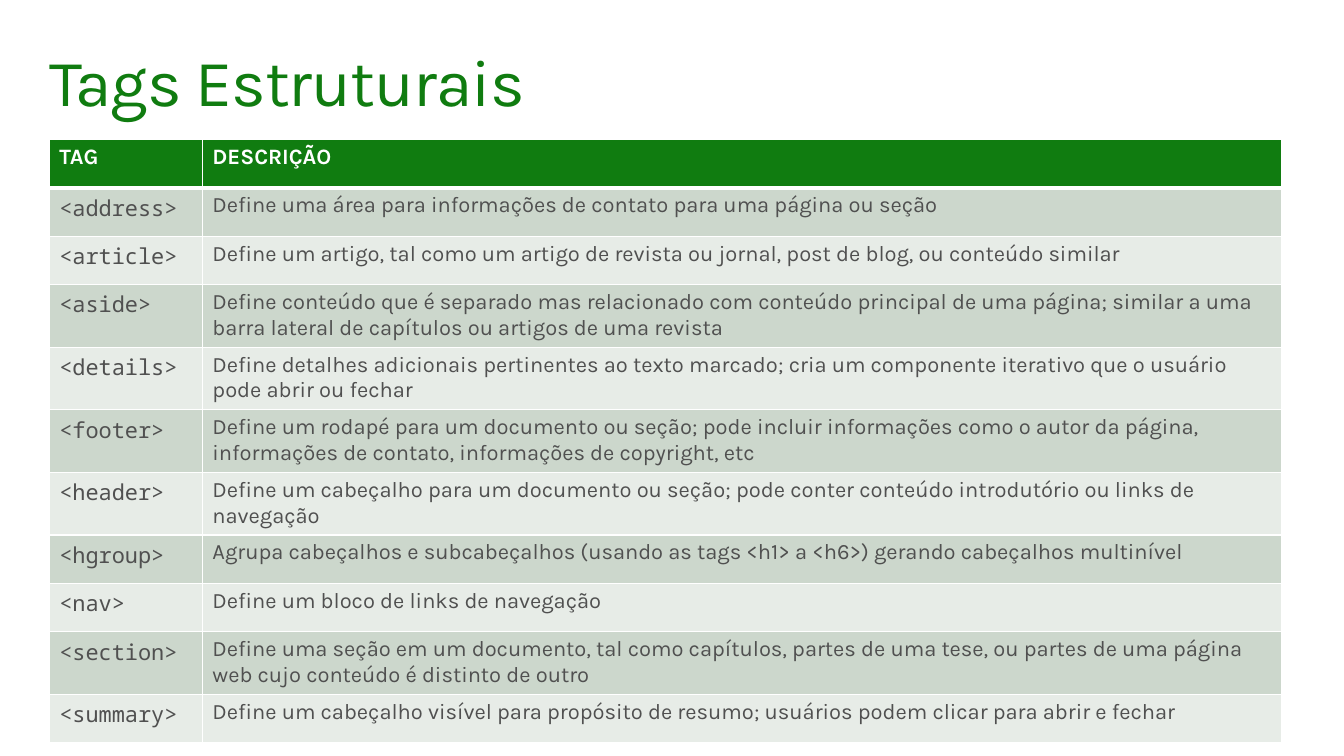
from dataclasses import dataclass

from lxml.etree import SubElement
from pptx import Presentation
from pptx.dml.color import RGBColor
from pptx.enum.text import MSO_ANCHOR
from pptx.oxml.ns import qn
from pptx.util import Pt

SCALE = 9144  # EMU per px, 100 px to the inch


@dataclass(frozen=True)
class Theme:
    green: str = "107C10"
    white: str = "FFFFFF"
    grey: str = "505050"
    bands: tuple = ("CCD7CC", "E7ECE7")
    font: str = "Karla"
    mono: str = "Noto Sans Mono"
    title: int = 48
    body: int = 16
    thin: int = 1
    thick: int = 3


HEAD = ("TAG", "DESCRIÇÃO")
TAGS = [
    ("<address>", "Define uma área para informações de contato para uma página ou seção"),
    ("<article>", "Define um artigo, tal como um artigo de revista ou jornal, post de blog, "
                  "ou conteúdo similar"),
    ("<aside>", "Define conteúdo que é separado mas relacionado com conteúdo principal de uma "
                "página; similar a uma barra lateral de capítulos ou artigos de uma revista"),
    ("<details>", "Define detalhes adicionais pertinentes ao texto marcado; cria um componente "
                  "iterativo que o usuário pode abrir ou fechar"),
    ("<footer>", "Define um rodapé para um documento ou seção; pode incluir informações como o "
                 "autor da página, informações de contato, informações de copyright, etc"),
    ("<header>", "Define um cabeçalho para um documento ou seção; pode conter conteúdo "
                 "introdutório ou links de navegação"),
    ("<hgroup>", "Agrupa cabeçalhos e subcabeçalhos (usando as tags <h1> a <h6>) gerando "
                 "cabeçalhos multinível"),
    ("<nav>", "Define um bloco de links de navegação"),
    ("<section>", "Define uma seção em um documento, tal como capítulos, partes de uma tese, "
                  "ou partes de uma página web cujo conteúdo é distinto de outro"),
    ("<summary>", "Define um cabeçalho visível para propósito de resumo; usuários podem clicar "
                  "para abrir e fechar"),
]


def px(num):
    return num * SCALE


class Deck:
    def __init__(self, theme, wide, high):
        self.theme = theme
        self.prs = Presentation()
        self.prs.slide_width, self.prs.slide_height = px(wide), px(high)
        self.slide = self.prs.slides.add_slide(self.prs.slide_layouts[6])

    def style(self, run, size, color, face, bold=False):
        font = run.font
        font.size, font.name, font.bold = Pt(size), face, bold
        font.color.rgb = RGBColor.from_string(color)

    def title(self, text, left, top, wide, high, inset):
        box = self.slide.shapes.add_textbox(px(left), px(top), px(wide), px(high))
        frame = box.text_frame
        frame.text, frame.word_wrap = text, True
        frame.vertical_anchor = MSO_ANCHOR.TOP
        frame.margin_left = frame.margin_right = px(inset)
        frame.margin_top = frame.margin_bottom = px(inset)
        para = frame.paragraphs[0]
        para.line_spacing = 0.9
        run = para.runs[0]
        self.style(run, self.theme.title, self.theme.green, self.theme.font)
        run.font._element.set("spc", "-70")

    def edges(self, cell, top, bottom):
        props = cell._tc.get_or_add_tcPr()
        thin = self.theme.thin
        for side, size in (("L", thin), ("R", thin), ("T", top), ("B", bottom)):
            line = SubElement(props, qn(f"a:ln{side}"), w=str(Pt(size)))
            fill = SubElement(line, qn("a:solidFill"))
            SubElement(fill, qn("a:srgbClr"), val=self.theme.white)

    def cell(self, cell, text, row, col):
        theme = self.theme
        head = row == 0
        self.edges(cell, theme.thick if row == 1 else theme.thin,
                   theme.thick if head else theme.thin)
        cell.fill.solid()
        back = theme.green if head else theme.bands[(row - 1) % 2]
        cell.fill.fore_color.rgb = RGBColor.from_string(back)
        cell.text_frame.text = text
        face = theme.mono if col == 0 and not head else theme.font
        color = theme.white if head else theme.grey
        self.style(cell.text_frame.paragraphs[0].runs[0], theme.body, color, face, head)

    def table(self, rows, left, top, cols, high):
        shape = self.slide.shapes.add_table(
            len(rows), len(cols), px(left), px(top), px(sum(cols)), px(high * len(rows)))
        table = shape.table
        table.first_row = table.horz_banding = False
        for col, wide in enumerate(cols):
            table.columns[col].width = px(wide)
        for row, texts in enumerate(rows):
            table.rows[row].height = px(high)
            for col, text in enumerate(texts):
                self.cell(table.cell(row, col), text, row, col)


def main():
    deck = Deck(Theme(), 1360, 765)
    # Title
    deck.title("Tags Estruturais", 40, 40, 1280, 82, 10)
    # Tag table
    deck.table([HEAD] + TAGS, 50, 141, (155, 1092), 49)
    deck.prs.save("out.pptx")


if __name__ == "__main__":
    main()
